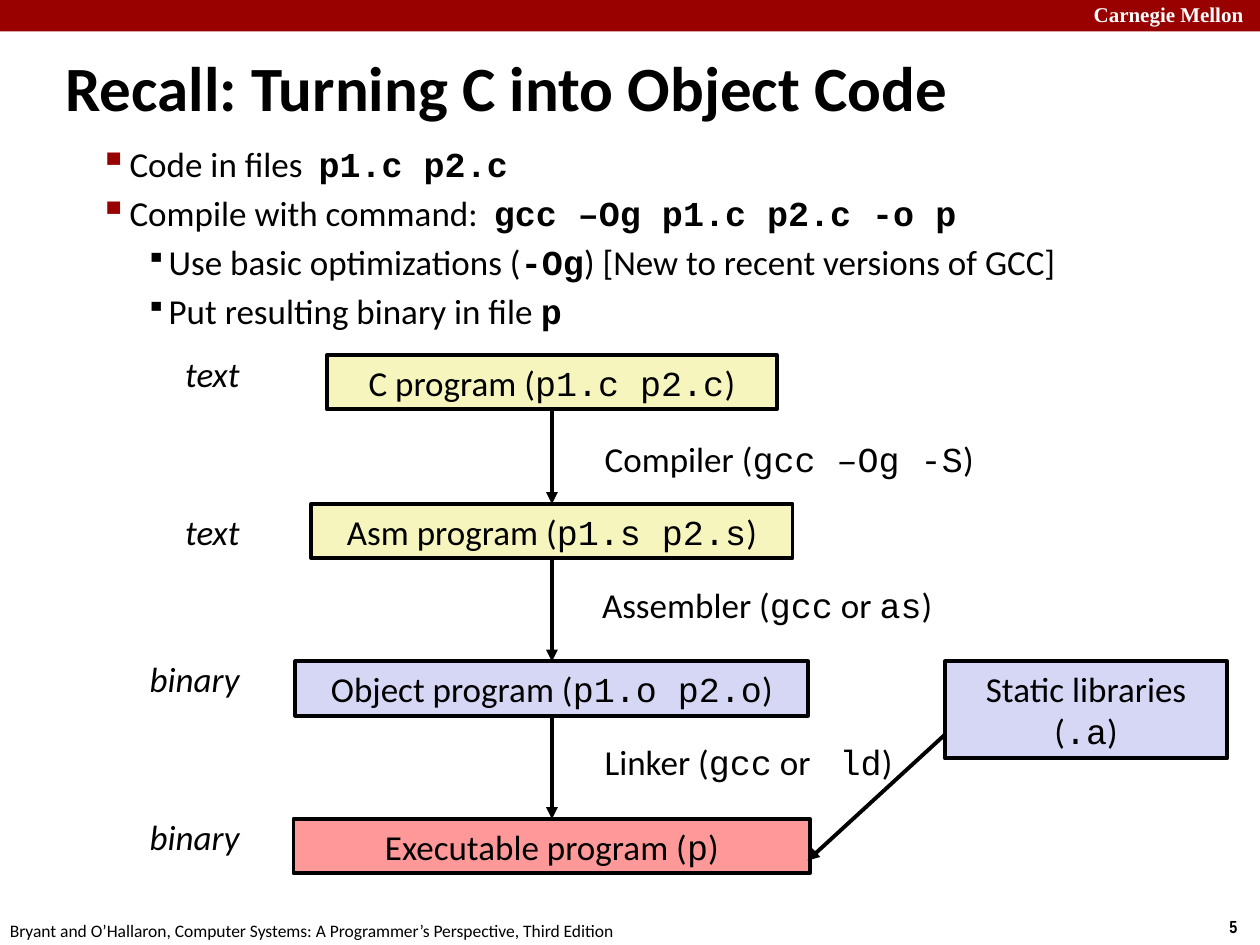
from typing import NamedTuple

from lxml import etree
from pptx import Presentation
from pptx import util as u
from pptx.dml.color import RGBColor
from pptx.enum import shapes, text
from pptx.oxml.ns import qn

HUES = {"bar": "990000", "ink": "000000", "page": "FFFFFF",
        "text": "F6F5BD", "binary": "D6D6F5", "exe": "FF9999"}
SANS, MONO = "Calibri", "Courier New"
LEFT, MID, RIGHT = text.PP_ALIGN.LEFT, text.PP_ALIGN.CENTER, text.PP_ALIGN.RIGHT
CELL = 0.1  # the slide is a grid of 100 columns by 75 rows
LINE = 4.3  # rows taken by one line of 20 pt text
AXIS = 43.8  # column on which the stages are centred


class Area(NamedTuple):
    col: float
    row: float
    cols: float
    rows: float = LINE


class Stage(NamedTuple):
    words: str
    row: float
    cols: float
    hue: str
    form: str
    form_row: float


class Step(NamedTuple):
    words: str
    col: float
    row: float
    cols: float


class Point(NamedTuple):
    words: str
    deep: bool = False


# Words between backticks are set in the code font
STAGES = [
    Stage("C program (`p1.c p2.c`)", 28.2, 35.7, "text", "text", 27.5),
    Stage("Asm program (`p1.s p2.s`)", 40, 38.2, "text", "text", 40),
    Stage("Object program (`p1.o p2.o`)", 52.5, 40.7, "binary", "binary", 51.7),
    Stage("Executable program (`p`)", 65, 41, "exe", "binary", 64.2),
]
STEPS = [
    Step("Compiler (`gcc –Og -S`)", 47, 34.2, 33.2),
    Step("Assembler (`gcc` or `as`)", 46.8, 45.8, 33.3),
    Step("Linker (`gcc` or ` ld`)", 47, 58.3, 28.9),
]
POINTS = [
    Point("Code in files  `p1.c p2.c`"),
    Point("Compile with command:  `gcc –Og p1.c p2.c -o p`"),
    Point("Use basic optimizations (`-Og`) [New to recent versions of GCC]", True),
    Point("Put resulting binary in file `p`", True),
]


def span(cells: float) -> int:
    return u.Inches(cells * CELL)


def tint(hue: str) -> RGBColor:
    return RGBColor.from_string(HUES[hue])


def put(para, words: str, hue: str = "ink", loud: bool = False, **form) -> None:
    """Add runs to a paragraph; loud makes the code words bold."""
    for i, part in enumerate(words.split("`")):
        if not part:
            continue
        run = para.add_run()
        run.text = part
        code = i % 2 == 1
        look = {"name": MONO if code else SANS, "size": u.Pt(20)} | form
        if loud:
            look["bold"] = code
        for key, val in look.items():
            setattr(run.font, key, val)
        run.font.color.rgb = tint(hue)


def label(slide, area: Area, words: str, align=LEFT, wrap: bool = True,
          pad: float = 0, **form):
    box = slide.shapes.add_textbox(*map(span, area))
    frame = box.text_frame
    frame.word_wrap = wrap
    if pad:
        for side in ("left", "top", "right", "bottom"):
            setattr(frame, f"margin_{side}", u.Inches(pad))
    para = frame.paragraphs[0]
    para.alignment = align
    put(para, words, **form)
    return box


def block(slide, area: Area, hue: str, words: str = ""):
    box = slide.shapes.add_shape(shapes.MSO_SHAPE.RECTANGLE, *map(span, area))
    box.shadow.inherit = False
    box.fill.solid()
    box.fill.fore_color.rgb = tint(hue)
    if not words:
        box.line.fill.background()
        return box
    box.line.color.rgb = tint("ink")
    box.line.width = u.Pt(2.25)
    frame = box.text_frame
    frame.word_wrap = True
    frame.vertical_anchor = text.MSO_ANCHOR.TOP
    frame.paragraphs[0].alignment = MID
    put(frame.paragraphs[0], words)
    return box


def arrow(slide, ends=(0, 0, 0, 0)):
    link = slide.shapes.add_connector(shapes.MSO_CONNECTOR.STRAIGHT, *map(span, ends))
    link.line.color.rgb = tint("ink")
    link.line.width = u.Pt(2.25)
    etree.SubElement(link.line._get_or_add_ln(), qn("a:tailEnd"), type="triangle")
    etree.SubElement(link._element.spPr, qn("a:effectLst"))
    return link


def indent(para, left: float, hang: float):
    props = para._p.get_or_add_pPr()
    props.set("marL", str(u.Inches(left)))
    props.set("indent", str(-u.Inches(hang)))
    return props


def bullet(para, point: Point) -> None:
    left, hang, size, hue = (0.92, 0.18, 80, "ink") if point.deep else (0.61, 0.24, 110, "bar")
    props = indent(para, left, hang)
    shade = etree.SubElement(props, qn("a:buClr"))
    etree.SubElement(shade, qn("a:srgbClr"), val=HUES[hue])
    etree.SubElement(props, qn("a:buSzPct"), val=str(size * 1000))
    etree.SubElement(props, qn("a:buChar"), char="▪")
    para.level = 2 if point.deep else 1


def main() -> None:
    deck = Presentation()
    deck.slide_width, deck.slide_height = span(100), span(75)
    slide = deck.slides.add_slide(deck.slide_layouts[6])

    # Banner and footer
    block(slide, Area(0, 0, 100, 2.5), "bar")
    label(slide, Area(86.4, -0.3, 14.4, 2.8), "Carnegie Mellon", pad=0.04, hue="page",
          name="Times New Roman", size=u.Pt(12), bold=True)
    label(slide, Area(96.6, 72.2, 3.4, 2.7), "5", wrap=False,
          name="Arial Narrow", size=u.Pt(10), bold=True)
    label(slide, Area(-0.2, 72.5, 50.8, 2.7),
          "Bryant and O’Hallaron, Computer Systems: A Programmer’s Perspective, Third Edition",
          wrap=False, size=u.Pt(10))

    # Title
    title = label(slide, Area(4.2, 3.7, 91.7, 6.3), "Recall: Turning C into Object Code",
                  size=u.Pt(36), bold=True)
    title.text_frame.vertical_anchor = text.MSO_ANCHOR.MIDDLE
    indent(title.text_frame.paragraphs[0], 0.13, 0.13)

    # Bullet list
    body = slide.shapes.add_textbox(*map(span, Area(3.2, 10.8, 90.9, 16))).text_frame
    body.word_wrap = True
    for i, point in enumerate(POINTS):
        para = body.add_paragraph() if i else body.paragraphs[0]
        bullet(para, point)
        if i:
            para.space_before = u.Pt(4)
        put(para, point.words, loud=True)

    # Stages, with the form of each file on the left
    boxes = []
    for s in STAGES:
        boxes.append(block(slide, Area(AXIS - s.cols / 2, s.row, s.cols), s.hue, s.words))
        label(slide, Area(9.1, s.form_row, 10.9), s.form, align=RIGHT, italic=True)

    # Steps from each stage to the next
    for step, top, low in zip(STEPS, boxes, boxes[1:]):
        link = arrow(slide)
        link.begin_connect(top, 2)
        link.end_connect(low, 0)
        label(slide, Area(step.col, step.row, step.cols), step.words)

    # Libraries that join at the linker
    block(slide, Area(75, 52.5, 22.4, 7.7), "binary", "Static libraries (`.a`)")
    arrow(slide, (75, 58.3, 64.1, 68.3))

    deck.save("out.pptx")


if __name__ == "__main__":
    main()
